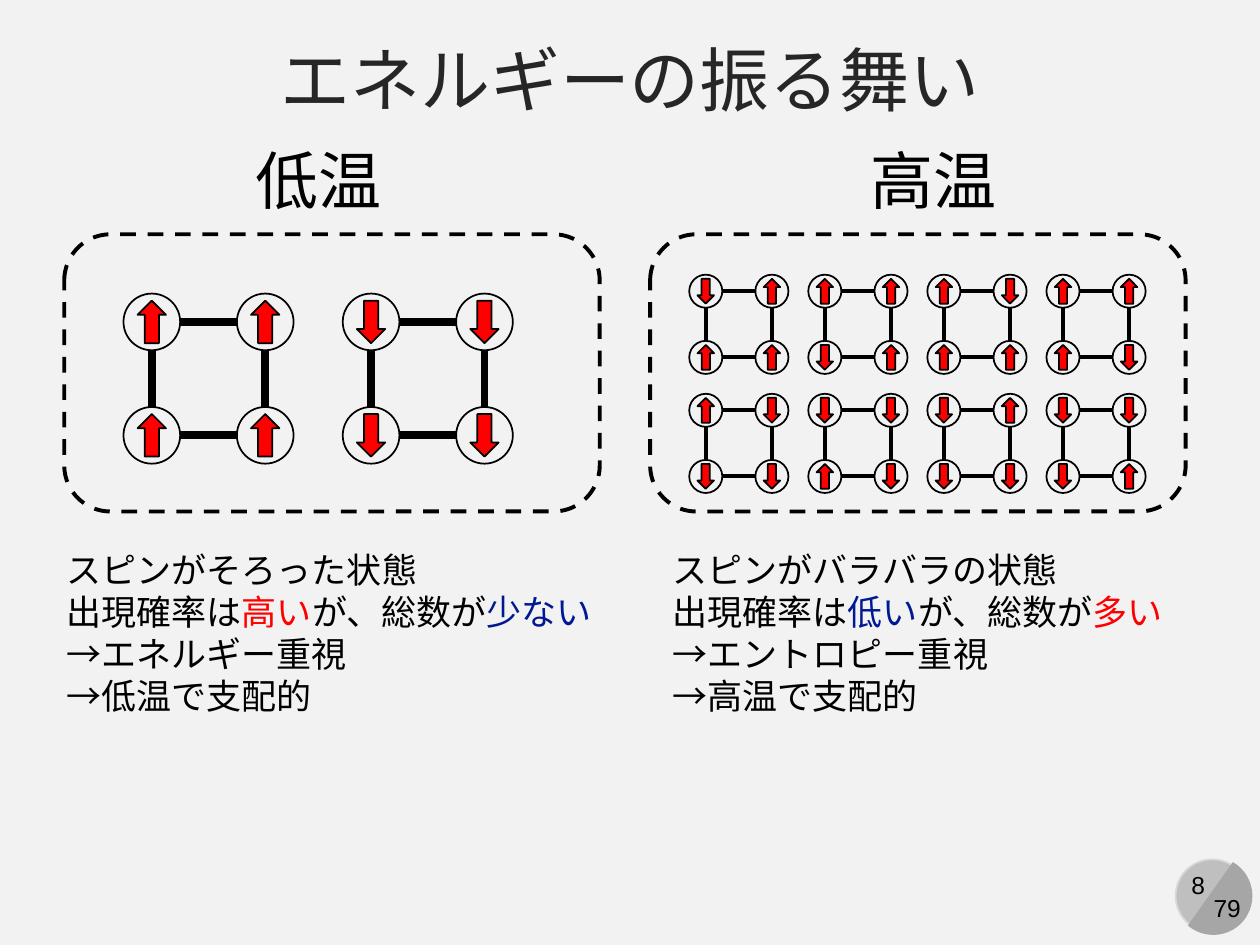
from lxml import etree
from pptx import Presentation
from pptx.dml.color import RGBColor
from pptx.enum import dml, shapes, text
from pptx.oxml import ns
from pptx.util import Inches, Pt

BLACK = RGBColor(0x00, 0x00, 0x00)
RED = RGBColor(0xFF, 0x00, 0x00)
NAVY = RGBColor(0x01, 0x18, 0x93)
TITLE = RGBColor(0x26, 0x26, 0x26)
PAPER = RGBColor(0xF2, 0xF2, 0xF2)
DISC = RGBColor(0xBF, 0xBF, 0xBF)
RIM = RGBColor(0xD9, 0xD9, 0xD9)
CHORD = RGBColor(0xA6, 0xA6, 0xA6)
KIND = shapes.MSO_SHAPE

prs = Presentation()
prs.slide_width, prs.slide_height = Inches(10), Inches(7.5)
s = prs.slides.add_slide(prs.slide_layouts[5])
s.background.fill.solid()
s.background.fill.fore_color.rgb = PAPER


def add_shape(kind, x, y, w, h, fill=None, line=BLACK, width=1):
    sp = s.shapes.add_shape(kind, Inches(x), Inches(y), Inches(w), Inches(h))
    sp.shadow.inherit = False
    for part, color in ((sp.fill, fill), (sp.line.fill, line)):
        if color is None:
            part.background()
        else:
            part.solid()
            part.fore_color.rgb = color
    if line is not None:
        sp.line.width = Pt(width)
    return sp


def write(sp, lines, size, color=BLACK, align=None):
    tf = sp.text_frame
    for i, runs in enumerate(lines):
        p = tf.paragraphs[0] if i == 0 else tf.add_paragraph()
        p.alignment = align
        for words, run_color in runs:
            r = p.add_run()
            r.text = words
            for key, value in {"name": "Arial", "size": Pt(size), "bold": False}.items():
                setattr(r.font, key, value)
            r.font.color.rgb = run_color or color


sp = s.shapes.title
box = {"left": 0, "top": 0.21, "width": 10, "height": 0.82}
for key, value in box.items():
    setattr(sp, key, Inches(value))
frame = {"word_wrap": True, "auto_size": text.MSO_AUTO_SIZE.NONE,
         "vertical_anchor": text.MSO_ANCHOR.MIDDLE}
for key, value in frame.items():
    setattr(sp.text_frame, key, value)
write(sp, [[("エネルギーの振る舞い", None)]], 40, TITLE, text.PP_ALIGN.CENTER)

add_shape(KIND.OVAL, 9.33, 6.82, 0.58, 0.58, DISC, RIM)
sp = add_shape(KIND.CHORD, 9.32, 6.8, 0.62, 0.62, CHORD, None)
sp.rotation = 255
sp.adjustments[0], sp.adjustments[1] = 27, 141.42

for x in (0.51, 5.16):
    sp = add_shape(KIND.ROUNDED_RECTANGLE, x, 1.86, 4.25, 2.2, width=2.25)
    sp.line.dash_style = dml.MSO_LINE.DASH

lattices = [(0.98 + 1.74 * i, 2.33, 0.45, 4.5, spins)
            for i, spins in enumerate(["UUUU", "DDDD"])]
high_rows = [["DUUU", "UUDU", "UDUU", "UUUD"],
             ["UDDD", "DDUD", "DUDD", "DDDU"]]
for row, states in enumerate(high_rows):
    for col, spins in enumerate(states):
        lattices.append((5.47 + 0.945 * col, 2.18 + 0.945 * row, 0.2625, 2.25, spins))

for x, y, d, width, spins in lattices:
    near, far, mid = d, 2 * d, d / 2
    bonds = [(near, mid, far, mid), (near, mid + far, far, mid + far),
             (mid, near, mid, far), (mid + far, near, mid + far, far)]
    for x1, y1, x2, y2 in bonds:
        line = s.shapes.add_connector(shapes.MSO_CONNECTOR.STRAIGHT, Inches(x + x1),
                                      Inches(y + y1), Inches(x + x2), Inches(y + y2))
        line.line.width = Pt(width)
        line.line.color.rgb = BLACK
        etree.SubElement(line._element.spPr, ns.qn("a:effectLst"))
    for i, spin in enumerate(spins):
        left, top = x + far * (i % 2), y + far * (i // 2)
        add_shape(KIND.OVAL, left, top, d, d)
        w, h = 0.5 * d, 0.75 * d
        sp = add_shape(KIND.DOWN_ARROW, left + (d - w) / 2, top + (d - h) / 2, w, h, RED)
        sp.rotation = 180 if spin == "U" else 0

low_notes = [[("スピンがそろった状態", None)],
             [("出現確率は", None), ("高い", RED), ("が、総数が", None), ("少ない", NAVY)],
             [("→エネルギー重視", None)],
             [("→低温で支配的", None)]]
high_notes = [[("スピンがバラバラの状態", None)],
              [("出現確率は", None), ("低い", NAVY), ("が、総数が", None), ("多い", RED)],
              [("→エントロピー重視", None)],
              [("→高温で支配的", None)]]
labels = [(1.93, 1.07, 1.21, 0.71, 36, [[("低温", None)]]),
          (6.81, 1.07, 1.21, 0.71, 36, [[("高温", None)]]),
          (0.43, 4.3, 4.41, 1.45, 20, low_notes),
          (5.24, 4.3, 4.13, 1.45, 20, high_notes),
          (9.29, 6.86, 0.44, 0.34, 14, [[("8", None)]]),
          (9.53, 7.04, 0.42, 0.34, 14, [[("79", None)]])]
for x, y, w, h, size, lines in labels:
    sp = s.shapes.add_textbox(Inches(x), Inches(y), Inches(w), Inches(h))
    sp.text_frame.word_wrap = False
    sp.text_frame.auto_size = text.MSO_AUTO_SIZE.SHAPE_TO_FIT_TEXT
    write(sp, lines, size, align=text.PP_ALIGN.CENTER if size == 14 else text.PP_ALIGN.LEFT)

prs.save("out.pptx")
